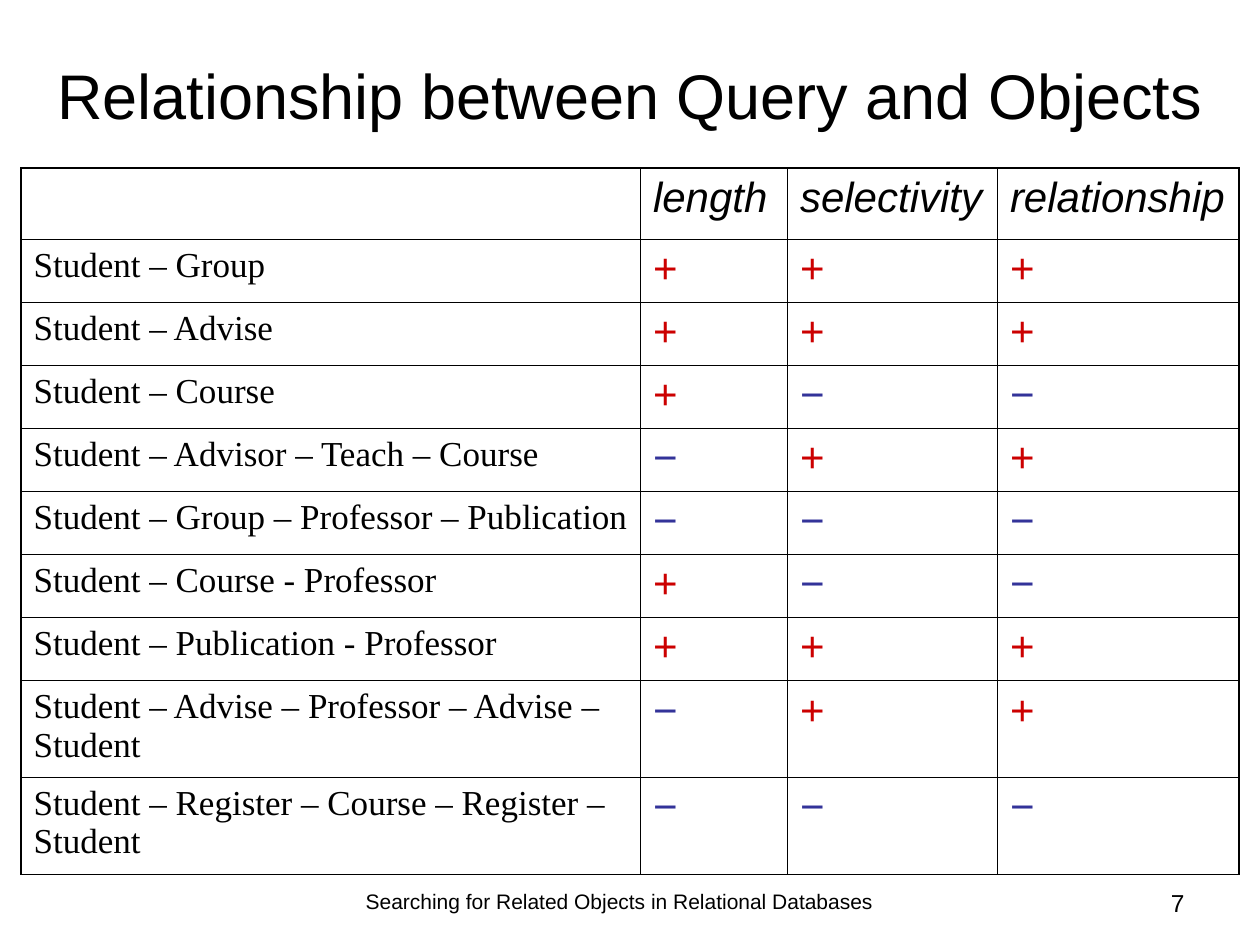
from dataclasses import dataclass

from pptx import Presentation
from pptx import util as u
from pptx.dml.color import RGBColor
from pptx.enum import text
from pptx.oxml import parse_xml
from pptx.oxml.ns import nsdecls


@dataclass(frozen=True)
class Theme:
    ink: str = "000000"
    plus: str = "CC0000"
    minus: str = "333399"
    sans: str = "Arial"
    serif: str = "Times New Roman"
    title: int = 36
    head: int = 24
    path_size: int = 20
    page: int = 14
    footer: int = 12
    outer: float = 1.08
    inner: float = 0.45


T = Theme()
UNIT = u.Inches(10) // 120
COLUMNS = (59, 14, 20, 23)
HEAD_ROW, ROW, TALL_ROW = 6.8, 6, 9.2
HEADINGS = ("", "length", "selectivity", "relationship")
PATHS = (
    ("Student – Group", "+++"),
    ("Student – Advise", "+++"),
    ("Student – Course", "+−−"),
    ("Student – Advisor – Teach – Course", "−++"),
    ("Student – Group – Professor – Publication", "−−−"),
    ("Student – Course - Professor", "+−−"),
    ("Student – Publication - Professor", "+++"),
    ("Student – Advise – Professor – Advise –Student", "−++"),
    ("Student – Register – Course – Register – Student", "−−−"),
)
TALL_FROM = 7


def grid(*cells):
    return [u.Emu(round(c * UNIT)) for c in cells]


def write(tf, words, color=T.ink, align=text.PP_ALIGN.LEFT, before=0, **font):
    p = tf.paragraphs[0]
    p.alignment = align
    p.space_before = u.Pt(before)
    r = p.add_run()
    r.text = words
    for key, value in font.items():
        setattr(r.font, key, value)
    r.font.color.rgb = RGBColor.from_string(color)


def text_box(s, box, words, anchor, align, size):
    tf = s.shapes.add_textbox(*grid(*box)).text_frame
    tf.word_wrap = True
    tf.vertical_anchor = anchor
    write(tf, words, align=align, name=T.sans, size=u.Pt(size))


def border(cell, widths):
    tc_pr = cell._tc.get_or_add_tcPr()
    for side, width in widths.items():
        tc_pr.append(parse_xml(
            f'<a:ln{side} {nsdecls("a")} w="{u.Pt(width)}"><a:solidFill>'
            f'<a:srgbClr val="{T.ink}"/></a:solidFill></a:ln{side}>'))


def style_cell(cell, row, col):
    border(cell, {
        "L": T.inner if col else T.outer,
        "R": T.outer if col == len(COLUMNS) - 1 else T.inner,
        "T": T.inner if row else T.outer,
        "B": T.inner,
    })
    cell.fill.background()


def cell_format(row, col, words):
    if row and not col:
        return dict(before=5, name=T.serif, size=u.Pt(T.path_size))
    color = {"+": T.plus, "−": T.minus}.get(words, T.ink)
    return dict(before=6, name=T.sans, size=u.Pt(T.head), color=color, italic=not row)


def path_table(s, box):
    rows = [HEADINGS] + [(path, *signs) for path, signs in PATHS]
    heights = [HEAD_ROW] + [TALL_ROW if i >= TALL_FROM else ROW for i in range(len(PATHS))]
    table = s.shapes.add_table(len(rows), len(COLUMNS), *grid(*box)).table
    for key in ("first_row", "horz_banding"):
        setattr(table, key, False)
    for column, width in zip(table.columns, grid(*COLUMNS)):
        column.width = width
    for row, height in zip(table.rows, grid(*heights)):
        row.height = height
    for i, row in enumerate(rows):
        for j, words in enumerate(row):
            cell = table.cell(i, j)
            style_cell(cell, i, j)
            if words:
                write(cell.text_frame, words, **cell_format(i, j, words))


def title(s, box):
    text_box(s, box, "Relationship between Query and Objects",
             text.MSO_ANCHOR.MIDDLE, text.PP_ALIGN.CENTER, T.title)


def footer(s, box):
    left, top, width, height = box
    text_box(s, (left, top, width - 26, height),
             "Searching for Related Objects in Relational Databases",
             text.MSO_ANCHOR.TOP, text.PP_ALIGN.CENTER, T.footer)
    text_box(s, (left + width - 25, top, 25, height), "7",
             text.MSO_ANCHOR.TOP, text.PP_ALIGN.RIGHT, T.page)


def main():
    prs = Presentation()
    prs.slide_width, prs.slide_height = grid(120, 90)
    s = prs.slides.add_slide(prs.slide_layouts[6])
    title(s, (2, 3, 116, 12))
    path_table(s, (2, 16, sum(COLUMNS), 67.2))
    footer(s, (30, 84, 84, 4.2))
    prs.save("out.pptx")


if __name__ == "__main__":
    main()
